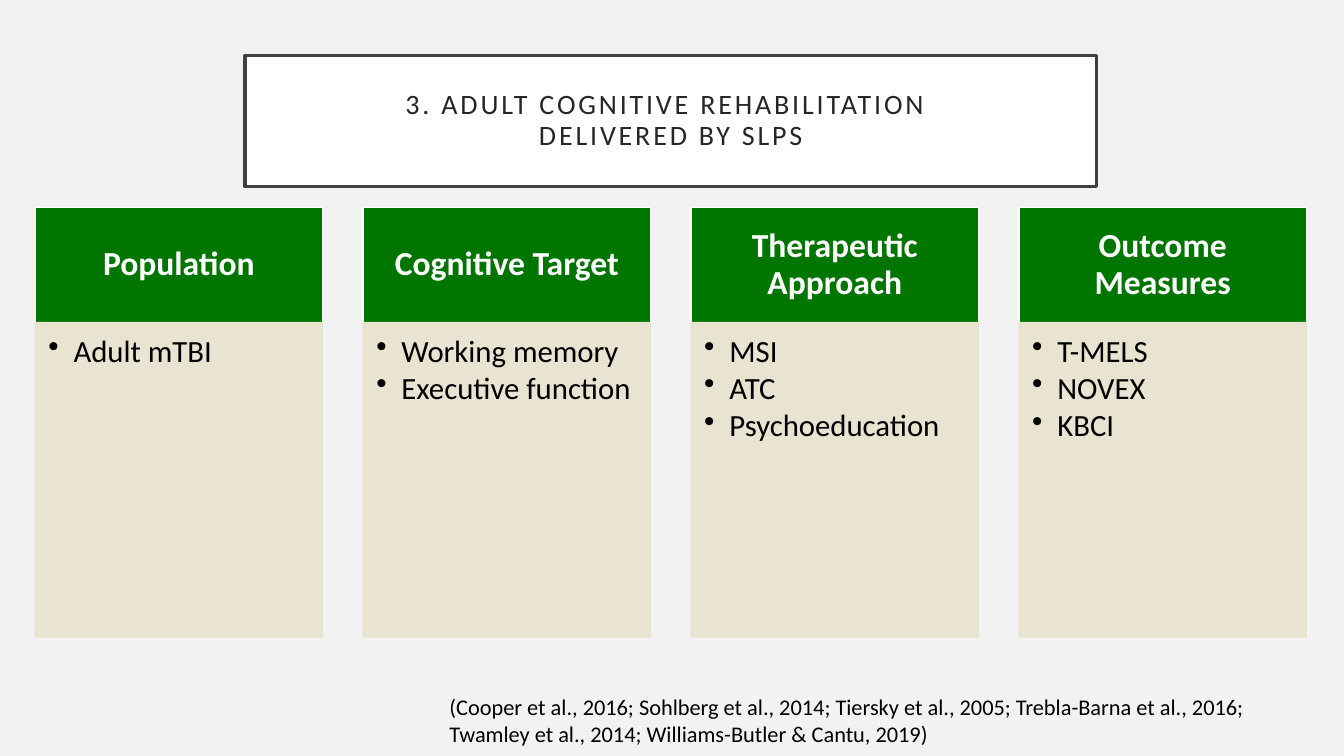
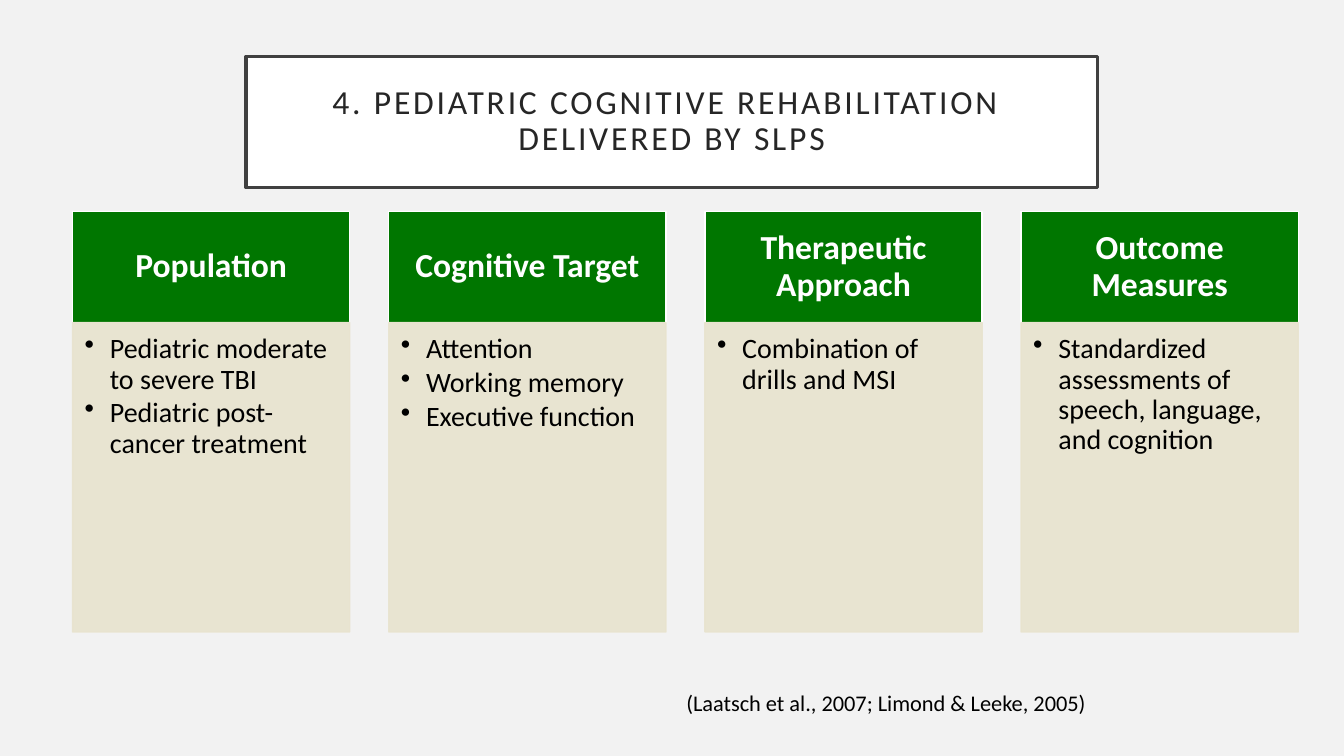
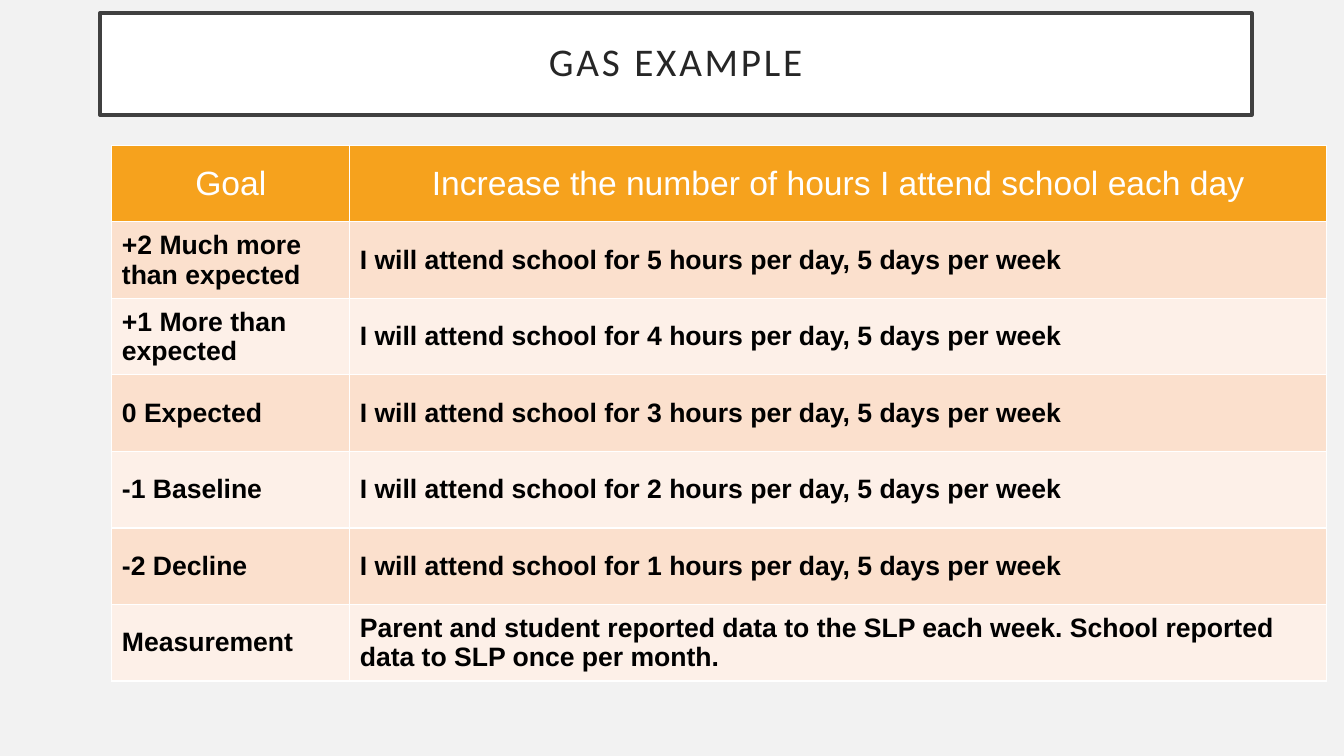
"""Build three slides on cognitive rehabilitation by SLPs and goal attainment scaling."""
from dataclasses import dataclass
from typing import Any, NamedTuple

import lxml.etree
import pptx
import pptx.dml.color
import pptx.enum.shapes
import pptx.enum.text
import pptx.oxml.ns
import pptx.util

Pt = pptx.util.Pt
qn = pptx.oxml.ns.qn
CENTER = pptx.enum.text.PP_ALIGN.CENTER
LEFT = pptx.enum.text.PP_ALIGN.LEFT
MIDDLE = pptx.enum.text.MSO_ANCHOR.MIDDLE
TOP = pptx.enum.text.MSO_ANCHOR.TOP


@dataclass(frozen=True)
class Theme:
    background: str = "F2F2F2"
    white: str = "FFFFFF"
    black: str = "000000"
    title_text: str = "262626"
    title_line: str = "404040"
    green: str = "007600"
    sand: str = "E8E3CE"
    orange: str = "F6A21D"
    bands: tuple[str, str] = ("FBE0CD", "FDF0E8")
    sand_alpha: int = 90
    title_line_width: float = 2.5
    thin_line_width: float = 1
    font: str = "Calibri"
    table_font: str = "Arial"
    header_size: float = 24
    citation_size: float = 16
    table_header_size: float = 24
    table_body_size: float = 19
    tracking: float = 2
    tight: float = 0.9
    bullet_indent: float = 18


THEME = Theme()


class Box(NamedTuple):
    left: float
    top: float
    width: float
    height: float


class Insets(NamedTuple):
    left: float
    top: float
    right: float
    bottom: float


class TextStyle(NamedTuple):
    size: float
    color: str
    font: str = THEME.font
    bold: bool = False
    align: Any = LEFT
    anchor: Any = TOP
    insets: Insets = Insets(7.2, 3.6, 7.2, 3.6)
    line_spacing: float = 1
    space_after: float = 0
    tracking: float = 0
    bullet: str = ""


class Column(NamedTuple):
    heading: str
    items: list[str]


@dataclass(frozen=True)
class ColumnGrid:
    left: float
    top: float
    step: float
    width: float
    header_height: float
    body_height: float
    body_size: float
    body_insets: Insets


@dataclass(frozen=True)
class ReviewSlide:
    title: str
    title_box: Box
    title_size: float
    grid: ColumnGrid
    columns: list[Column]
    citation: str
    citation_box: Box


REVIEWS = [
    ReviewSlide(
        "3. ADULT COGNITIVE REHABILITATION \vDELIVERED BY SLPS",
        Box(174.96, 39.6, 608.4, 93.6),
        20,
        ColumnGrid(25.2, 148.32, 234.24, 205.2, 82.08, 224.64, 22, Insets(9.36, 9.36, 12.24, 13.68)),
        [
            Column("Population", ["Adult mTBI"]),
            Column("Cognitive Target", ["Working memory", "Executive function"]),
            Column("Therapeutic Approach", ["MSI", "ATC", "Psychoeducation"]),
            Column("Outcome Measures", ["T-MELS", "NOVEX", "KBCI"]),
        ],
        "(Cooper et al., 2016; Sohlberg et al., 2014; Tiersky et al., 2005; Trebla-Barna et al., 2016; "
        "Twamley et al., 2014; Williams-Butler & Cantu, 2019)",
        Box(313.92, 491.76, 598.32, 46.08),
    ),
    ReviewSlide(
        "4. PEDIATRIC COGNITIVE REHABILITATION \vDELIVERED BY SLPS",
        Box(175.68, 40.32, 608.4, 93.6),
        24,
        ColumnGrid(51.84, 151.2, 225.84, 198, 79.2, 221.04, 20, Insets(8.64, 8.64, 11.52, 12.24)),
        [
            Column("Population", ["Pediatric moderate to severe TBI", "Pediatric post-cancer treatment"]),
            Column("Cognitive Target", ["Attention", "Working memory", "Executive function"]),
            Column("Therapeutic Approach", ["Combination of drills and MSI"]),
            Column("Outcome Measures", ["Standardized assessments of speech, language, and cognition"]),
        ],
        "(Laatsch et al., 2007; Limond & Leeke, 2005)",
        Box(483.12, 488.88, 470, 26.64),
    ),
]

GOAL_HEADER = ("Goal", "Increase the number of hours I attend school each day")
GOAL_LEVELS = [
    ("+2 Much more than expected", 5),
    ("+1 More than expected", 4),
    ("0 Expected", 3),
    ("-1 Baseline", 2),
    ("-2 Decline", 1),
]
GOAL_ROWS = [
    GOAL_HEADER,
    *((level, f"I will attend school for {hours} hours per day, 5 days per week") for level, hours in GOAL_LEVELS),
    (
        "Measurement",
        "Parent and student reported data to the SLP each week. School reported data to SLP once per month.",
    ),
]
GOAL_TABLE = Box(79.92, 103.68, 867.6, 382.9)
GOAL_COLUMNS = (169.92, 697.68)


def rgb(color: str) -> pptx.dml.color.RGBColor:
    return pptx.dml.color.RGBColor.from_string(color)


def set_values(target: Any, values: dict[str, Any]) -> None:
    for name, value in values.items():
        setattr(target, name, value)


def set_margins(target: Any, insets: Insets) -> None:
    set_values(target, {f"margin_{side}": Pt(value) for side, value in insets._asdict().items()})


def set_alpha(fill: Any, percent: int) -> None:
    for color in fill.iter(qn("a:srgbClr")):
        lxml.etree.SubElement(color, qn("a:alpha"), val=str(percent * 1000))


def add_bullet(para: Any, mark: str) -> None:
    properties = para._p.get_or_add_pPr()
    properties.set("marL", str(Pt(THEME.bullet_indent)))
    properties.set("indent", str(-Pt(THEME.bullet_indent)))
    lxml.etree.SubElement(properties, qn("a:buChar"), char=mark)


def write_text(frame: Any, lines: list[str], style: TextStyle) -> None:
    for index, line in enumerate(lines):
        para = frame.add_paragraph() if index else frame.paragraphs[0]
        para.text = line
        if style.bullet:
            add_bullet(para, style.bullet)
        set_values(para, {
            "alignment": style.align,
            "line_spacing": style.line_spacing,
            "space_after": Pt(style.space_after),
        })
        for span in para.runs:
            set_values(span.font, {"name": style.font, "size": Pt(style.size), "bold": style.bold})
            span.font.color.rgb = rgb(style.color)
            if style.tracking:
                span._r.get_or_add_rPr().set("spc", str(round(style.tracking * 100)))


def fill_frame(shape: Any, lines: list[str], style: TextStyle) -> None:
    frame = shape.text_frame
    set_values(frame, {"word_wrap": True, "vertical_anchor": style.anchor})
    set_margins(frame, style.insets)
    write_text(frame, lines, style)


def add_panel(page: Any, box: Box, fill: str, line: str, line_width: float,
              lines: list[str], style: TextStyle, alpha: int = 100) -> None:
    shape = page.shapes.add_shape(pptx.enum.shapes.MSO_SHAPE.RECTANGLE, *map(Pt, box))
    shape.shadow.inherit = False
    shape.fill.solid()
    shape.fill.fore_color.rgb = rgb(fill)
    shape.line.color.rgb = rgb(line)
    shape.line.width = Pt(line_width)
    if alpha < 100:
        set_alpha(shape._element.spPr, alpha)
    fill_frame(shape, lines, style)


def add_page(deck: Any, title: str, box: Box, size: float) -> Any:
    page = deck.slides.add_slide(deck.slide_layouts[6])
    page.background.fill.solid()
    page.background.fill.fore_color.rgb = rgb(THEME.background)
    style = TextStyle(size, THEME.title_text, align=CENTER, anchor=MIDDLE,
                      insets=Insets(14.4, 14.4, 14.4, 14.4),
                      line_spacing=THEME.tight, tracking=THEME.tracking)
    add_panel(page, box, THEME.white, THEME.title_line, THEME.title_line_width, [title], style)
    return page


def add_columns(page: Any, grid: ColumnGrid, columns: list[Column]) -> None:
    header_style = TextStyle(THEME.header_size, THEME.white, bold=True, align=CENTER, anchor=MIDDLE,
                             insets=Insets(13.68, 7.92, 13.68, 7.92), line_spacing=THEME.tight)
    body_style = TextStyle(grid.body_size, THEME.black, insets=grid.body_insets,
                           line_spacing=THEME.tight, space_after=grid.body_size * 0.13, bullet="•")
    for index, column in enumerate(columns):
        left = grid.left + index * grid.step
        header = Box(left, grid.top, grid.width, grid.header_height)
        body = Box(left, grid.top + grid.header_height, grid.width, grid.body_height)
        add_panel(page, header, THEME.green, THEME.white, THEME.thin_line_width,
                  [column.heading], header_style)
        add_panel(page, body, THEME.sand, THEME.sand, THEME.thin_line_width,
                  column.items, body_style, THEME.sand_alpha)


def add_review(deck: Any, review: ReviewSlide) -> None:
    page = add_page(deck, review.title, review.title_box, review.title_size)
    add_columns(page, review.grid, review.columns)
    citation = page.shapes.add_textbox(*map(Pt, review.citation_box))
    fill_frame(citation, [review.citation], TextStyle(THEME.citation_size, THEME.black))


def add_borders(cell: Any) -> None:
    properties = cell._tc.get_or_add_tcPr()
    for side in "LRTB":
        line = lxml.etree.SubElement(properties, qn(f"a:ln{side}"), w=str(Pt(THEME.thin_line_width)))
        fill = lxml.etree.SubElement(line, qn("a:solidFill"))
        lxml.etree.SubElement(fill, qn("a:srgbClr"), val=THEME.white)


def add_goal_table(page: Any) -> None:
    frame = page.shapes.add_table(len(GOAL_ROWS), len(GOAL_COLUMNS), *map(Pt, GOAL_TABLE))
    table = frame.table
    set_values(table, {"first_row": False, "horz_banding": False})
    for column, width in zip(table.columns, GOAL_COLUMNS):
        column.width = Pt(width)
    header_style = TextStyle(THEME.table_header_size, THEME.white, THEME.table_font, align=CENTER)
    body_style = TextStyle(THEME.table_body_size, THEME.black, THEME.table_font, bold=True)
    for row_index, texts in enumerate(GOAL_ROWS):
        table.rows[row_index].height = Pt(GOAL_TABLE.height / len(GOAL_ROWS))
        fill = THEME.bands[(row_index - 1) % 2] if row_index else THEME.orange
        for column_index, text in enumerate(texts):
            cell = table.cell(row_index, column_index)
            add_borders(cell)
            cell.fill.solid()
            cell.fill.fore_color.rgb = rgb(fill)
            cell.vertical_anchor = MIDDLE
            set_margins(cell, Insets(7.2, 0, 7.2, 0))
            write_text(cell.text_frame, [text], body_style if row_index else header_style)


def main() -> None:
    deck = pptx.Presentation()
    set_values(deck, {"slide_width": Pt(960), "slide_height": Pt(540)})
    for review in REVIEWS:
        add_review(deck, review)
    add_goal_table(add_page(deck, "GAS EXAMPLE", Box(71.28, 9.36, 822.96, 72.72), 28))
    deck.save("out.pptx")


if __name__ == "__main__":
    main()
